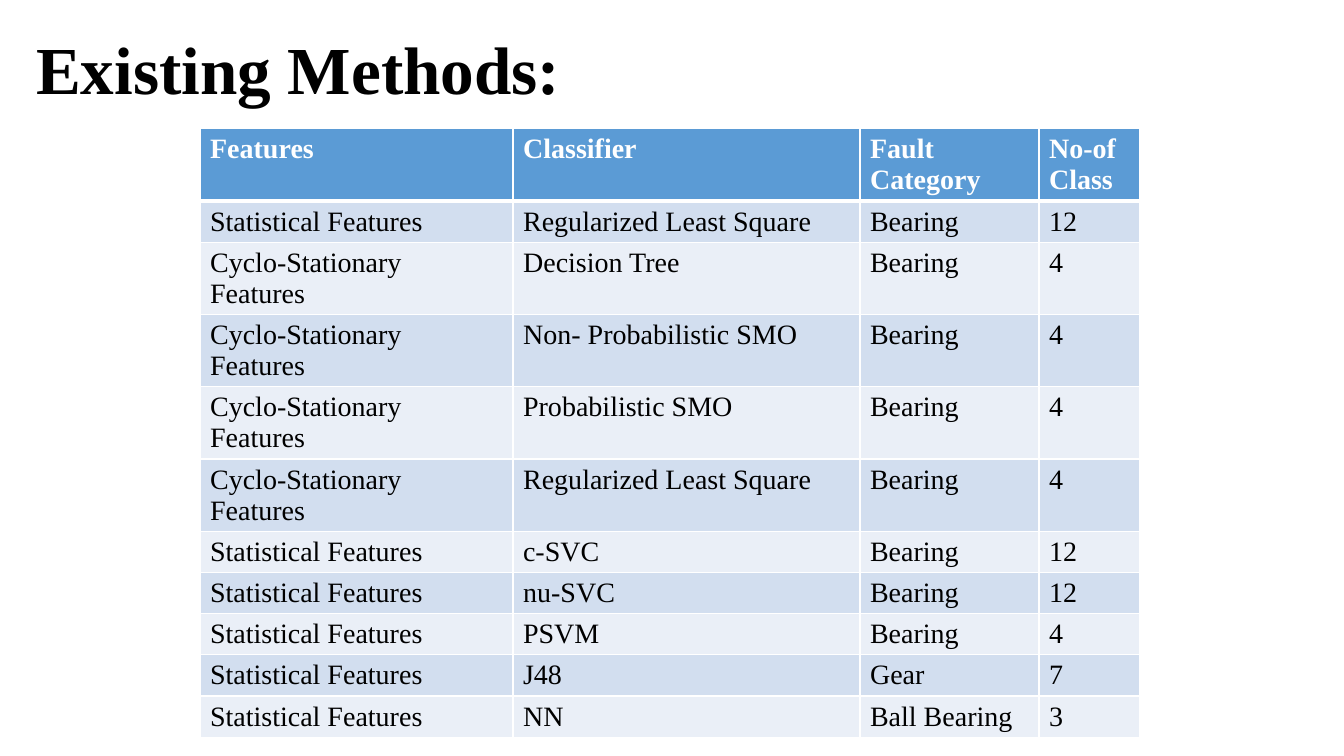
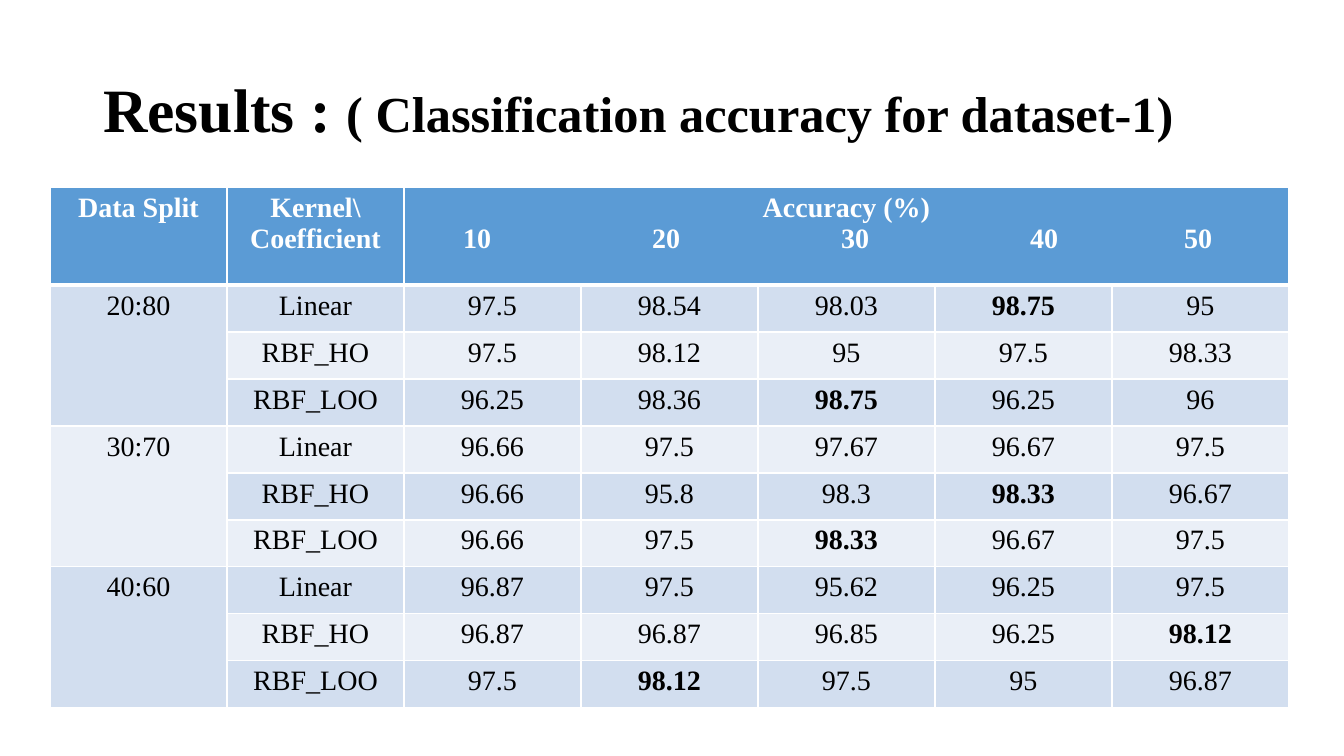
"""Build two slides on fault classification: existing methods and accuracy results."""
from lxml import etree
from pptx import Presentation
from pptx.dml.color import RGBColor
from pptx.enum.text import MSO_ANCHOR, MSO_AUTO_SIZE, PP_ALIGN
from pptx.oxml.ns import qn
from pptx.util import Emu, Pt

LEFT, CENTER = PP_ALIGN.LEFT, PP_ALIGN.CENTER
MIDDLE, NO_FIT = MSO_ANCHOR.MIDDLE, MSO_AUTO_SIZE.NONE
BLACK = RGBColor(0x00, 0x00, 0x00)
WHITE = RGBColor(0xFF, 0xFF, 0xFF)
HEADER_BLUE = RGBColor(0x5B, 0x9B, 0xD5)
BANDS = (RGBColor(0xEA, 0xEF, 0xF7), RGBColor(0xD2, 0xDE, 0xEF))
FONT = "Times New Roman"
PX = 12192000 / 1344
TITLE_WIDTH, TITLE_HEIGHT = 1159, 146
CELL_SIZE = 20

prs = Presentation()
prs.slide_width, prs.slide_height = Emu(round(1344 * PX)), Emu(round(756 * PX))


def add_titled_slide(left, top, parts):
    """Add a title-only slide whose title is made of (text, size) parts."""
    slide = prs.slides.add_slide(prs.slide_layouts[5])
    title = slide.shapes.title
    box = dict(left=left, top=top, width=TITLE_WIDTH, height=TITLE_HEIGHT)
    for side, length in box.items():
        setattr(title, side, Emu(round(length * PX)))
    frame = title.text_frame
    frame.auto_size, frame.vertical_anchor, frame.word_wrap = NO_FIT, MIDDLE, True
    paragraph = frame.paragraphs[0]
    paragraph.alignment, paragraph.line_spacing = LEFT, 0.9
    for text, size in parts:
        run = paragraph.add_run()
        run.text = text
        for name, value in dict(name=FONT, size=Pt(size), bold=True).items():
            setattr(run.font, name, value)
        run.font.color.rgb = BLACK
    return slide


def add_banded_table(slide, left, top, widths, heights, rows, alignment, best=()):
    """Add a table with a blue header, banded rows and white rules."""
    box = (left, top, sum(widths), sum(heights))
    table = slide.shapes.add_table(
        len(rows), len(widths), *(Emu(round(length * PX)) for length in box)).table
    table.first_row = table.horz_banding = False
    for column, width in zip(table.columns, widths):
        column.width = Emu(round(width * PX))
    for row, height in zip(table.rows, heights):
        row.height = Emu(round(height * PX))
    for r, texts in enumerate(rows):
        for c, text in enumerate(texts):
            cell = table.cell(r, c)
            cell.text = text
            cell.fill.solid()
            cell.fill.fore_color.rgb = BANDS[r % 2] if r else HEADER_BLUE
            for paragraph in cell.text_frame.paragraphs:
                paragraph.alignment = alignment
                for run in paragraph.runs:
                    run.font.name, run.font.size = FONT, Pt(CELL_SIZE)
                    run.font.bold = r == 0 or (r, c) in best
                    run.font.color.rgb = BLACK if r else WHITE
            rules = dict(lnL=1, lnR=1, lnT=3 if r == 1 else 1, lnB=1 if r else 3)
            for position, (side, points) in enumerate(rules.items()):
                line = etree.Element(qn(f"a:{side}"), w=str(Pt(points)))
                solid = etree.SubElement(line, qn("a:solidFill"))
                etree.SubElement(solid, qn("a:srgbClr"), val=str(WHITE))
                cell._tc.get_or_add_tcPr().insert(position, line)
    return table


methods = [("Features", "Classifier", "Fault Category", "No-of Class")]
methods += [
    (f"{kind} Features", classifier, fault, classes)
    for kind, classifier, fault, classes in (
        ("Statistical", "Regularized Least Square", "Bearing", "12"),
        ("Cyclo-Stationary", "Decision Tree", "Bearing", "4"),
        ("Cyclo-Stationary", "Non- Probabilistic SMO", "Bearing", "4"),
        ("Cyclo-Stationary", "Probabilistic SMO", "Bearing", "4"),
        ("Cyclo-Stationary", "Regularized Least Square", "Bearing", "4"),
        ("Statistical", "c-SVC", "Bearing", "12"),
        ("Statistical", "nu-SVC", "Bearing", "12"),
        ("Statistical", "PSVM", "Bearing", "4"),
        ("Statistical", "J48", "Gear", "7"),
        ("Statistical", "NN", "Ball Bearing", "3"),
    )
]
methods_slide = add_titled_slide(26, 0, [("Existing Methods:", 48)])
add_banded_table(methods_slide, 200, 128, (313, 347, 179, 101),
                 [73] + [41] * 10, methods, LEFT)

splits = ("20:80", "30:70", "40:60")
kernels = ("Linear", "RBF_HO", "RBF_LOO")
accuracies = (
    ("97.5", "98.54", "98.03", "98.75", "95"),
    ("97.5", "98.12", "95", "97.5", "98.33"),
    ("96.25", "98.36", "98.75", "96.25", "96"),
    ("96.66", "97.5", "97.67", "96.67", "97.5"),
    ("96.66", "95.8", "98.3", "98.33", "96.67"),
    ("96.66", "97.5", "98.33", "96.67", "97.5"),
    ("96.87", "97.5", "95.62", "96.25", "97.5"),
    ("96.87", "96.87", "96.85", "96.25", "98.12"),
    ("97.5", "98.12", "97.5", "95", "96.87"),
)
best_cells = {(1, 5), (3, 4), (5, 5), (6, 4), (8, 6), (9, 3)}
coefficient_stops = (49, 238, 427, 616, 770)

results = [("Data Split", "Kernel\\ Coefficient",
            "Accuracy (%)\n\t10\t20\t30\t40\t50", "", "", "", "")]
for i, values in enumerate(accuracies):
    group, k = divmod(i, len(kernels))
    results.append(("" if k else splits[group], kernels[k], *values))

results_slide = add_titled_slide(
    93, 40, [("Results : ", 44), ("( Classification accuracy for dataset-1)", 36)])
results_table = add_banded_table(results_slide, 50, 187, [177] * 7, [98] + [47] * 9,
                                 results, CENTER, best_cells)
results_table.cell(0, 2).merge(results_table.cell(0, 6))
for first in range(1, len(results), len(kernels)):
    results_table.cell(first, 0).merge(results_table.cell(first + len(kernels) - 1, 0))

coefficients = results_table.cell(0, 2).text_frame.paragraphs[1]
coefficients.alignment = LEFT
tabs = etree.SubElement(coefficients._p.get_or_add_pPr(), qn("a:tabLst"))
for stop in coefficient_stops:
    etree.SubElement(tabs, qn("a:tab"), pos=str(round(stop * PX)), algn="l")

prs.save("out.pptx")
